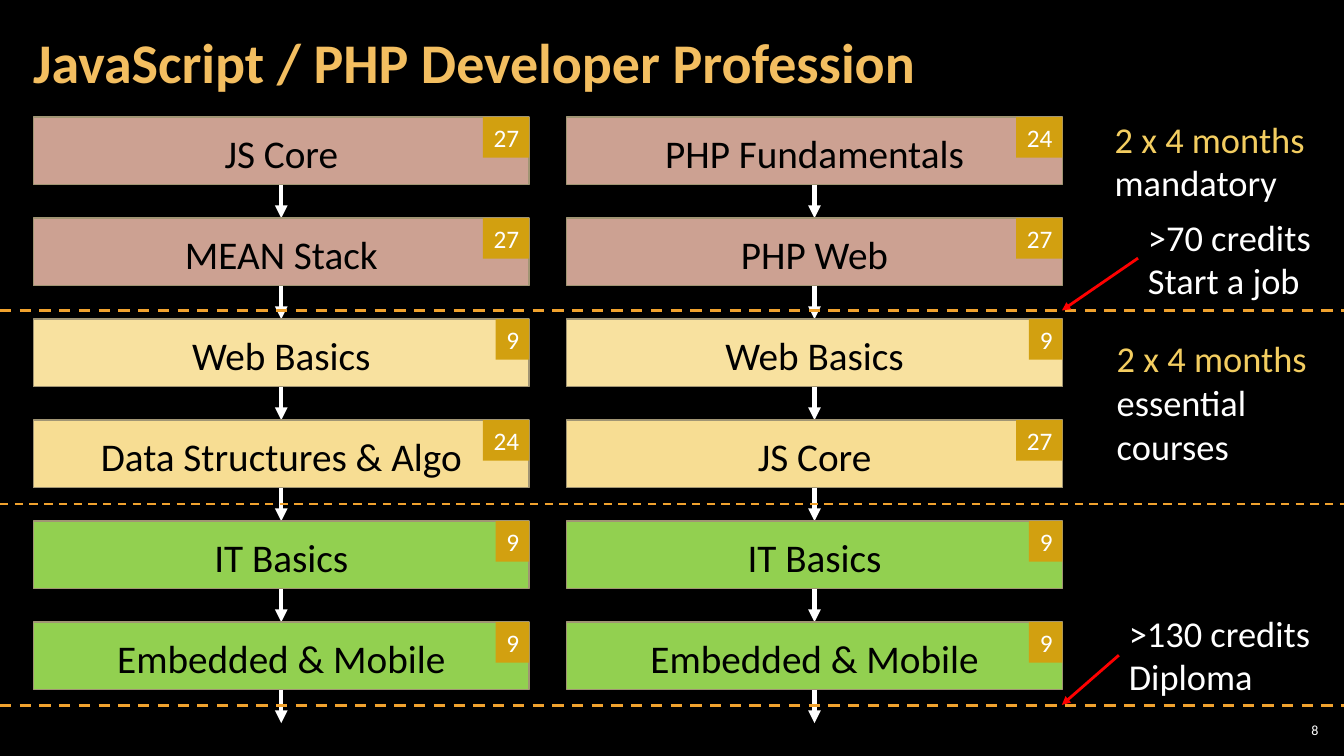
from pptx import Presentation
from pptx import util as u
from pptx.dml.color import RGBColor
from pptx.enum import dml, shapes, text
from pptx.oxml import parse_xml
from pptx.oxml.ns import nsdecls

FONT = "Calibri"
BLACK = RGBColor(0x00, 0x00, 0x00)
WHITE = RGBColor(0xFF, 0xFF, 0xFF)
RED = RGBColor(0xFF, 0x00, 0x00)
TITLE_GOLD = RGBColor(0xF3, 0xBE, 0x60)
NOTE_GOLD = RGBColor(0xF3, 0xCD, 0x60)
DASH_ORANGE = RGBColor(0xF0, 0xA2, 0x2E)
BADGE_GOLD = RGBColor(0xD2, 0xA0, 0x10)
BORDER = RGBColor(0xA1, 0x95, 0x74)
ROSE = RGBColor(0xCC, 0xA1, 0x92)
PALE_YELLOW = RGBColor(0xF8, 0xE1, 0x9F)
YELLOW = RGBColor(0xF7, 0xDD, 0x93)
GREEN = RGBColor(0x92, 0xD0, 0x50)

SLIDE_WIDTH = 960
COURSE_WIDTH, COURSE_HEIGHT = 354.2, 48.4
FIRST_TOP, ROW_STEP = 83.6, 72.15
ROW_FILLS = [ROSE, ROSE, PALE_YELLOW, YELLOW, GREEN, GREEN]
TRACKS = [
    (23.8, [("JS Core", 27), ("MEAN Stack", 27), ("Web Basics", 9),
            ("Data Structures & Algo", 24), ("IT Basics", 9), ("Embedded & Mobile", 9)]),
    (404.7, [("PHP Fundamentals", 24), ("PHP Web", 27), ("Web Basics", 9),
             ("JS Core", 27), ("IT Basics", 9), ("Embedded & Mobile", 9)]),
]
NOTES = [
    (789.1, 79.9, 165, [("2 x 4 months", NOTE_GOLD), ("mandatory", WHITE)]),
    (812.9, 149.8, 132, [(">70 credits", WHITE), ("Start a job", WHITE)]),
    (790.6, 236.9, 153, [("2 x 4 months", NOTE_GOLD), ("essential", WHITE), ("courses", WHITE)]),
    (799.2, 432.7, 145.4, [(">130 credits", WHITE), ("Diploma", WHITE)]),
]


def add_run(paragraph, wording, size, color, bold=False):
    run = paragraph.add_run()
    run.text = wording
    run.font.name = FONT
    run.font.size = u.Pt(size)
    run.font.bold = bold
    run.font.color.rgb = color


def set_insets(frame, left, top, right, bottom):
    frame.margin_left, frame.margin_top = u.Pt(left), u.Pt(top)
    frame.margin_right, frame.margin_bottom = u.Pt(right), u.Pt(bottom)


def add_rectangle(slide, left, top, width, height, fill, border=None):
    shape = slide.shapes.add_shape(
        shapes.MSO_SHAPE.RECTANGLE, u.Pt(left), u.Pt(top), u.Pt(width), u.Pt(height))
    shape.shadow.inherit = False
    shape.fill.solid()
    shape.fill.fore_color.rgb = fill
    if border is None:
        shape.line.fill.background()
    else:
        shape.line.color.rgb = border
        shape.line.width = u.Pt(1)
    shape.text_frame.vertical_anchor = text.MSO_ANCHOR.TOP
    return shape


def add_course(slide, left, top, name, fill):
    shape = add_rectangle(slide, left, top, COURSE_WIDTH, COURSE_HEIGHT, fill, BORDER)
    set_insets(shape.text_frame, 7.2, 8.6, 7.2, 3.6)
    paragraph = shape.text_frame.paragraphs[0]
    paragraph.alignment = text.PP_ALIGN.CENTER
    paragraph.space_before = paragraph.space_after = u.Pt(3)
    add_run(paragraph, name, 28, BLACK)


def add_badge(slide, right, top, credits):
    width = 24 if credits < 10 else 33
    shape = add_rectangle(slide, right - width, top, width, 29, BADGE_GOLD)
    frame = shape.text_frame
    frame.word_wrap = False
    frame.auto_size = text.MSO_AUTO_SIZE.SHAPE_TO_FIT_TEXT
    paragraph = frame.paragraphs[0]
    paragraph.alignment = text.PP_ALIGN.RIGHT
    add_run(paragraph, str(credits), 18, WHITE)


def add_line(slide, start, end, color, width, arrow=False, dashed=False):
    line = slide.shapes.add_connector(
        shapes.MSO_CONNECTOR.STRAIGHT, *(u.Pt(value) for value in start + end))
    line.line.color.rgb = color
    line.line.width = u.Pt(width)
    if dashed:
        line.line.dash_style = dml.MSO_LINE.DASH
    if arrow:
        line.line._get_or_add_ln().append(
            parse_xml(f'<a:tailEnd {nsdecls("a")} type="triangle"/>'))
    line._element.spPr.append(parse_xml(f'<a:effectLst {nsdecls("a")}/>'))


def add_note(slide, left, top, width, lines):
    height = 7.2 + 31.7 * len(lines)
    shape = slide.shapes.add_textbox(u.Pt(left), u.Pt(top), u.Pt(width), u.Pt(height))
    frame = shape.text_frame
    frame.word_wrap = True
    for index, (wording, color) in enumerate(lines):
        paragraph = frame.add_paragraph() if index else frame.paragraphs[0]
        add_run(paragraph, wording, 26, color)


def add_track(slide, left, courses):
    center = left + COURSE_WIDTH / 2
    for row, ((name, credits), fill) in enumerate(zip(courses, ROW_FILLS)):
        top = FIRST_TOP + row * ROW_STEP
        add_course(slide, left, top, name, fill)
        add_badge(slide, left + COURSE_WIDTH, top, credits)
        add_line(slide, (center, top + COURSE_HEIGHT), (center, top + ROW_STEP),
                 WHITE, 3, arrow=True)


def format_title(slide, wording):
    title = slide.shapes.title
    title.left, title.top = u.Pt(15.1), u.Pt(2.9)
    title.width, title.height = u.Pt(754), u.Pt(87)
    frame = title.text_frame
    frame.auto_size = text.MSO_AUTO_SIZE.NONE
    frame.vertical_anchor = text.MSO_ANCHOR.MIDDLE
    set_insets(frame, 8.6, 2.9, 8.6, 2.9)
    paragraph = frame.paragraphs[0]
    paragraph.alignment = text.PP_ALIGN.LEFT
    paragraph.line_spacing = 0.9
    add_run(paragraph, wording, 40, TITLE_GOLD, bold=True)


def add_page_number(slide, number):
    shape = slide.shapes.add_textbox(u.Pt(910.8), u.Pt(514), u.Pt(33.8), u.Pt(15.1))
    frame = shape.text_frame
    frame.word_wrap = True
    frame.vertical_anchor = text.MSO_ANCHOR.MIDDLE
    set_insets(frame, 2.9, 2.9, 2.9, 2.9)
    paragraph = frame.paragraphs[0]
    paragraph.alignment = text.PP_ALIGN.RIGHT
    add_run(paragraph, number, 10, WHITE)


def main():
    presentation = Presentation()
    presentation.slide_width, presentation.slide_height = u.Pt(SLIDE_WIDTH), u.Pt(540)
    slide = presentation.slides.add_slide(presentation.slide_layouts[5])
    slide.background.fill.solid()
    slide.background.fill.fore_color.rgb = BLACK

    format_title(slide, "JavaScript / PHP Developer Profession")
    for left, courses in TRACKS:
        add_track(slide, left, courses)
    for height, width in [(221.8, 2), (360, 1.5), (504, 2)]:
        add_line(slide, (0, height), (SLIDE_WIDTH, height), DASH_ORANGE, width, dashed=True)
    for note in NOTES:
        add_note(slide, *note)
    add_line(slide, (812.9, 184.4), (758.5, 221.8), RED, 2, arrow=True)
    add_line(slide, (799.2, 468), (758.5, 503.5), RED, 2, arrow=True)
    add_page_number(slide, "8")
    presentation.save("out.pptx")


if __name__ == "__main__":
    main()
